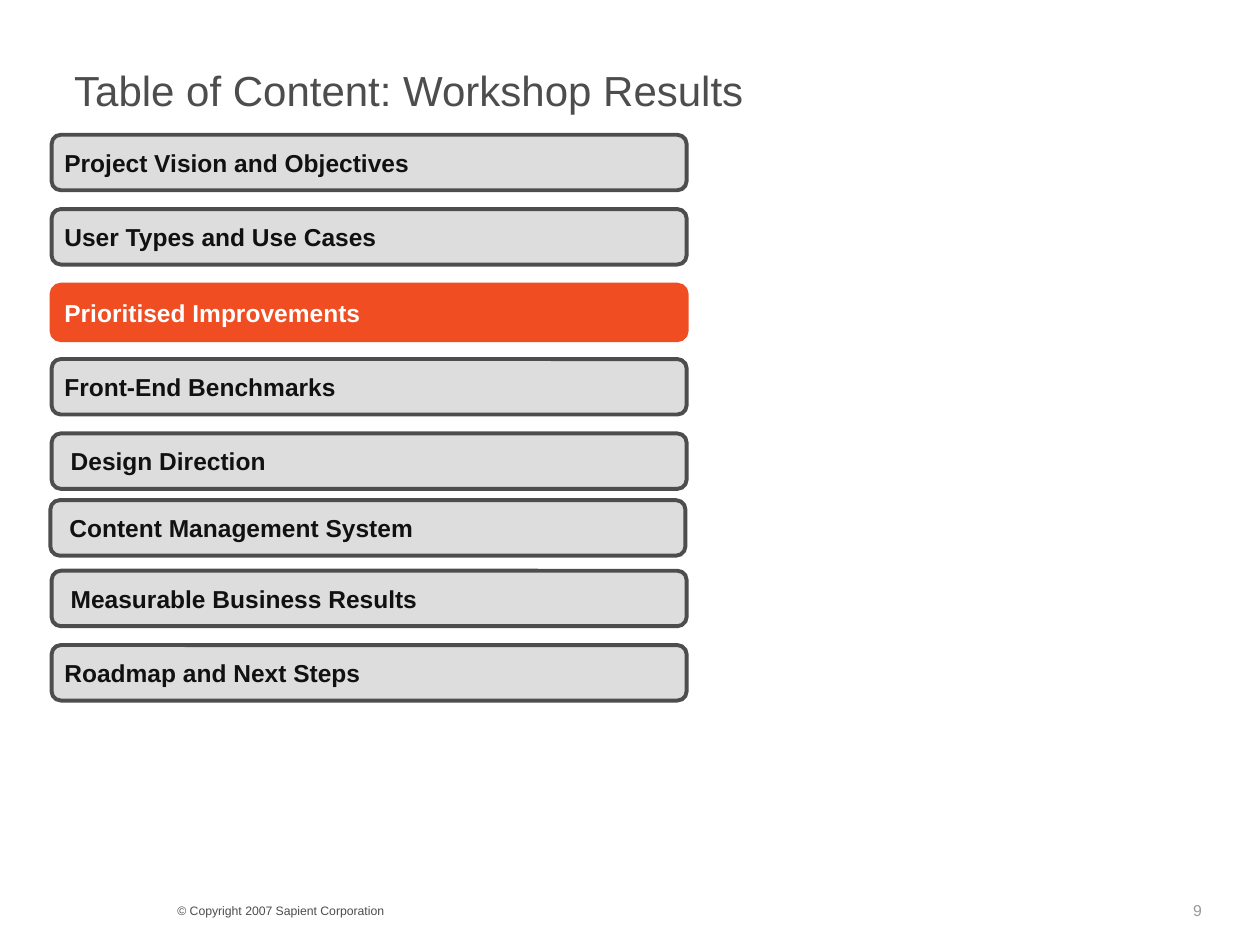
from dataclasses import dataclass

from pptx import Presentation
from pptx.dml.color import RGBColor
from pptx.enum.shapes import MSO_SHAPE
from pptx.enum.text import MSO_ANCHOR, PP_ALIGN
from pptx.util import Inches, Pt

ROUND = MSO_SHAPE.ROUNDED_RECTANGLE
TOP, MIDDLE = MSO_ANCHOR.TOP, MSO_ANCHOR.MIDDLE
LEFT = PP_ALIGN.LEFT


@dataclass(frozen=True)
class Theme:
    """Colours, font and type sizes of the slide."""
    font: str = "Arial"
    dark: str = "4D4D4D"
    grey: str = "999999"
    panel: str = "DDDDDD"
    ink: str = "111111"
    accent: str = "F04E22"
    white: str = "FFFFFF"
    title: float = 24
    item: float = 14
    page: float = 9
    legal: float = 7
    line: float = 2.25


THEME = Theme()
ACTIVE = "Prioritised Improvements"
ITEMS = [
    ("Project Vision and Objectives", 0.01, 0, 0.08),
    ("User Types and Use Cases", 0.01, 0.59, 0.08),
    (ACTIVE, 0.01, 1.19, 0.08),
    ("Front-End Benchmarks", 0.01, 1.78, 0.08),
    ("Design Direction", 0.01, 2.37, 0.13),
    ("Content Management System", 0, 2.9, 0.13),
    ("Measurable Business Results", 0.01, 3.46, 0.13),
    ("Roadmap and Next Steps", 0.01, 4.05, 0.08),
]


def write(shape, text, size, color, pads, anchor=TOP, bold=False):
    """Put one left-aligned run into a shape."""
    frame = shape.text_frame
    frame.word_wrap = True
    frame.vertical_anchor = anchor
    frame.margin_left, frame.margin_top, frame.margin_right, frame.margin_bottom = (
        Inches(pad) for pad in pads)
    para = frame.paragraphs[0]
    para.alignment = LEFT
    run = para.add_run()
    run.text = text
    run.font.name = THEME.font
    run.font.size = Pt(size)
    run.font.bold = bold
    run.font.color.rgb = RGBColor.from_string(color)


def add_label(slide, box, text, size, color, pads=(0.1, 0.05, 0.1, 0.05), anchor=TOP):
    """Add a plain text box."""
    shape = slide.shapes.add_textbox(*map(Inches, box))
    write(shape, text, size, color, pads, anchor)


def add_bar(slide, box, text, pad, active):
    """Add one agenda bar, in the accent colour when active."""
    shape = slide.shapes.add_shape(ROUND, *map(Inches, box))
    shape.shadow.inherit = False
    shape.adjustments[0] = 0.167
    fill, line, ink = (
        (THEME.accent, THEME.accent, THEME.white) if active
        else (THEME.panel, THEME.dark, THEME.ink))
    shape.fill.solid()
    shape.fill.fore_color.rgb = RGBColor.from_string(fill)
    shape.line.color.rgb = RGBColor.from_string(line)
    shape.line.width = Pt(THEME.line)
    write(shape, text, THEME.item, ink, (pad, 0, 0, 0), MIDDLE, True)


def add_agenda(slide, left, top, width, height):
    """Stack the agenda bars from the given corner."""
    for text, shift, drop, pad in ITEMS:
        box = (left + shift, top + drop, width, height)
        add_bar(slide, box, text, pad, text == ACTIVE)


def add_footer(slide, left, top):
    """Add the copyright line and the page number."""
    add_label(slide, (left, top + 0.01, 4, 0.22),
              "© Copyright 2007 Sapient Corporation", THEME.legal, THEME.dark)
    add_label(slide, (left + 8.07, top, 0.6, 0.24), "9", THEME.page, THEME.grey,
              (0.09, 0.04, 0.09, 0.04))


def main():
    """Build the slide and save it."""
    deck = Presentation()
    deck.slide_width, deck.slide_height = Inches(10), Inches(7.5)
    slide = deck.slides.add_slide(deck.slide_layouts[6])
    add_footer(slide, 1.31, 7.11)
    add_label(slide, (0.49, 0.44, 9.01, 0.55), "Table of Content: Workshop Results",
              THEME.title, THEME.dark, anchor=MIDDLE)
    add_agenda(slide, 0.4, 1.07, 5.04, 0.44)
    deck.save("out.pptx")


if __name__ == "__main__":
    main()
